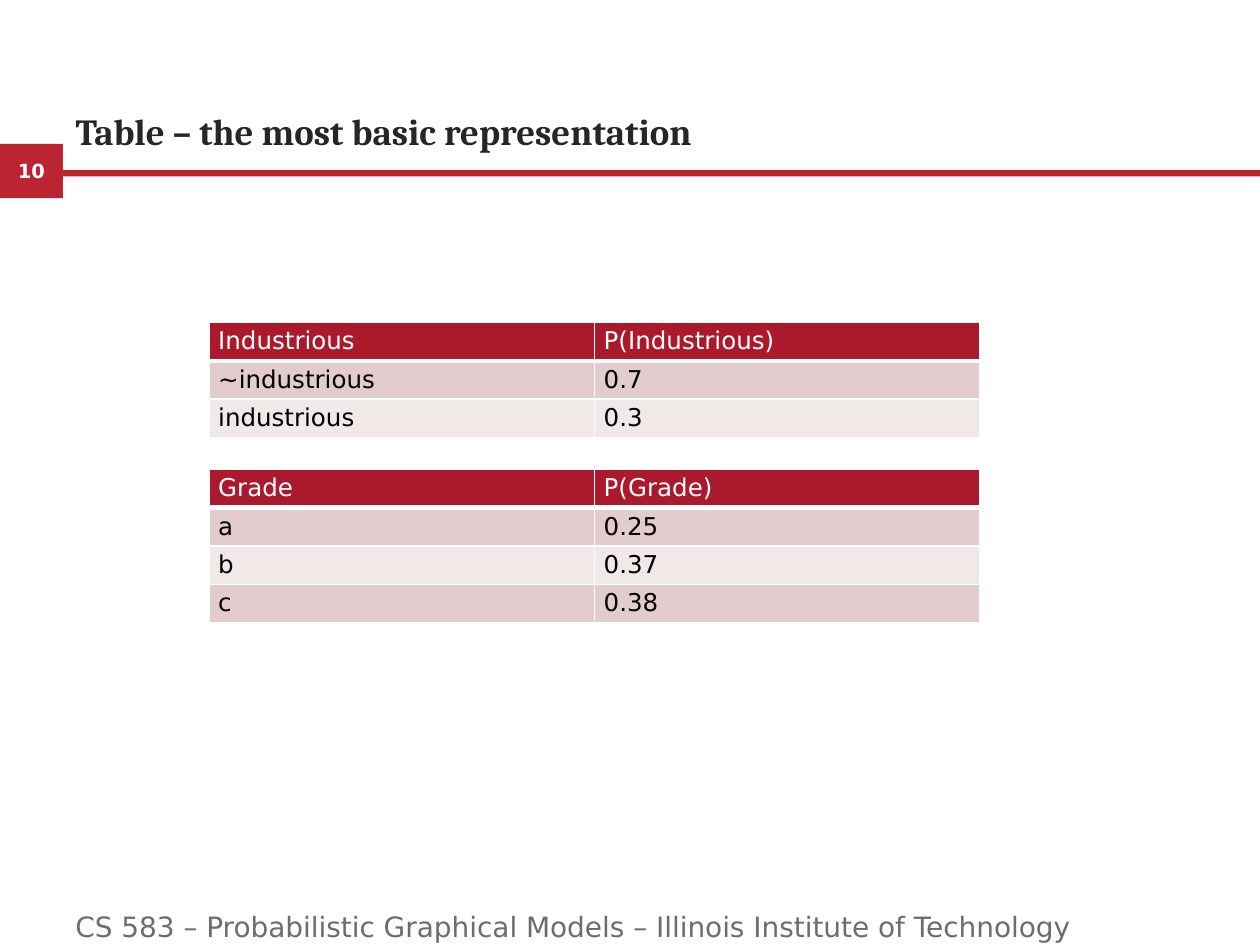
import lxml.etree
import pptx
import pptx.dml.color
import pptx.enum.shapes
import pptx.enum.text
import pptx.oxml.ns
import pptx.util

Pt = pptx.util.Pt
ALIGN = pptx.enum.text.PP_ALIGN
ANCHOR = pptx.enum.text.MSO_ANCHOR

CRIMSON = "BB2532"
HEADER_FILL = "AB192D"
BAND_FILLS = ["E2CCCD", "F1E8E8"]
ROW_HEIGHT = 21.9


def rgb(color):
    return pptx.dml.color.RGBColor.from_string(color)


def write(frame, text, size=14, font="DejaVu Sans", color="000000", bold=False,
          align=ALIGN.LEFT, anchor=ANCHOR.TOP):
    frame.word_wrap = True
    frame.vertical_anchor = anchor
    paragraph = frame.paragraphs[0]
    paragraph.alignment = align
    run = paragraph.add_run()
    run.text = text
    run.font.size = Pt(size)
    run.font.name = font
    run.font.bold = bold
    run.font.color.rgb = rgb(color)


deck = pptx.Presentation()
deck.slide_width, deck.slide_height = Pt(720), Pt(540)
slide = deck.slides.add_slide(deck.slide_layouts[5])

# Page number block and rule under the title
page_block, rule = [
    slide.shapes.add_shape(pptx.enum.shapes.MSO_SHAPE.RECTANGLE, *map(Pt, box))
    for box in [(0, 82.3, 36, 31), (36, 97.2, 684, 3.6)]
]
for band in (page_block, rule):
    band.shadow.inherit = False
    band.fill.solid()
    band.fill.fore_color.rgb = rgb(CRIMSON)
    band.line.fill.background()
write(page_block.text_frame, "10", size=11.1, color="FFFFFF", bold=True,
      align=ALIGN.CENTER, anchor=ANCHOR.MIDDLE)

title = slide.shapes.title
title.left, title.top, title.width, title.height = map(Pt, (36, 27.4, 648, 63.4))
write(title.text_frame, "Table – the most basic representation", size=21,
      font="Cambria", color="262626", bold=True, anchor=ANCHOR.BOTTOM)

# Probability tables: top edge and rows, the first row being the header
distributions = [
    (184.3, [("Industrious", "P(Industrious)"),
             ("~industrious", "0.7"),
             ("industrious", "0.3")]),
    (268.2, [("Grade", "P(Grade)"),
             ("a", "0.25"),
             ("b", "0.37"),
             ("c", "0.38")]),
]
for top, rows in distributions:
    table = slide.shapes.add_table(
        len(rows), 2, Pt(119.5), Pt(top), Pt(440.6), Pt(ROW_HEIGHT * len(rows))
    ).table
    for r, row in enumerate(rows):
        table.rows[r].height = Pt(ROW_HEIGHT)
        is_header = r == 0
        for c, text in enumerate(row):
            cell = table.cell(r, c)
            cell.margin_left = cell.margin_right = Pt(5.2)
            cell.margin_top = cell.margin_bottom = Pt(2.6)
            write(cell.text_frame, text, color="FFFFFF" if is_header else "000000")

            properties = cell._tc.get_or_add_tcPr()
            for side in ("lnL", "lnR", "lnT", "lnB"):
                width = 3 if is_header and side == "lnB" else 1
                border = lxml.etree.SubElement(
                    properties, pptx.oxml.ns.qn(f"a:{side}"), w=str(Pt(width)))
                paint = lxml.etree.SubElement(border, pptx.oxml.ns.qn("a:solidFill"))
                lxml.etree.SubElement(paint, pptx.oxml.ns.qn("a:srgbClr"), val="FFFFFF")
            cell.fill.solid()
            cell.fill.fore_color.rgb = rgb(
                HEADER_FILL if is_header else BAND_FILLS[(r - 1) % 2])

course = slide.shapes.add_textbox(Pt(36), Pt(516.2), Pt(653.8), Pt(23.8))
write(course.text_frame,
      "CS 583 – Probabilistic Graphical Models – Illinois Institute of Technology",
      size=16, color="6D6D6D")

deck.save("out.pptx")
